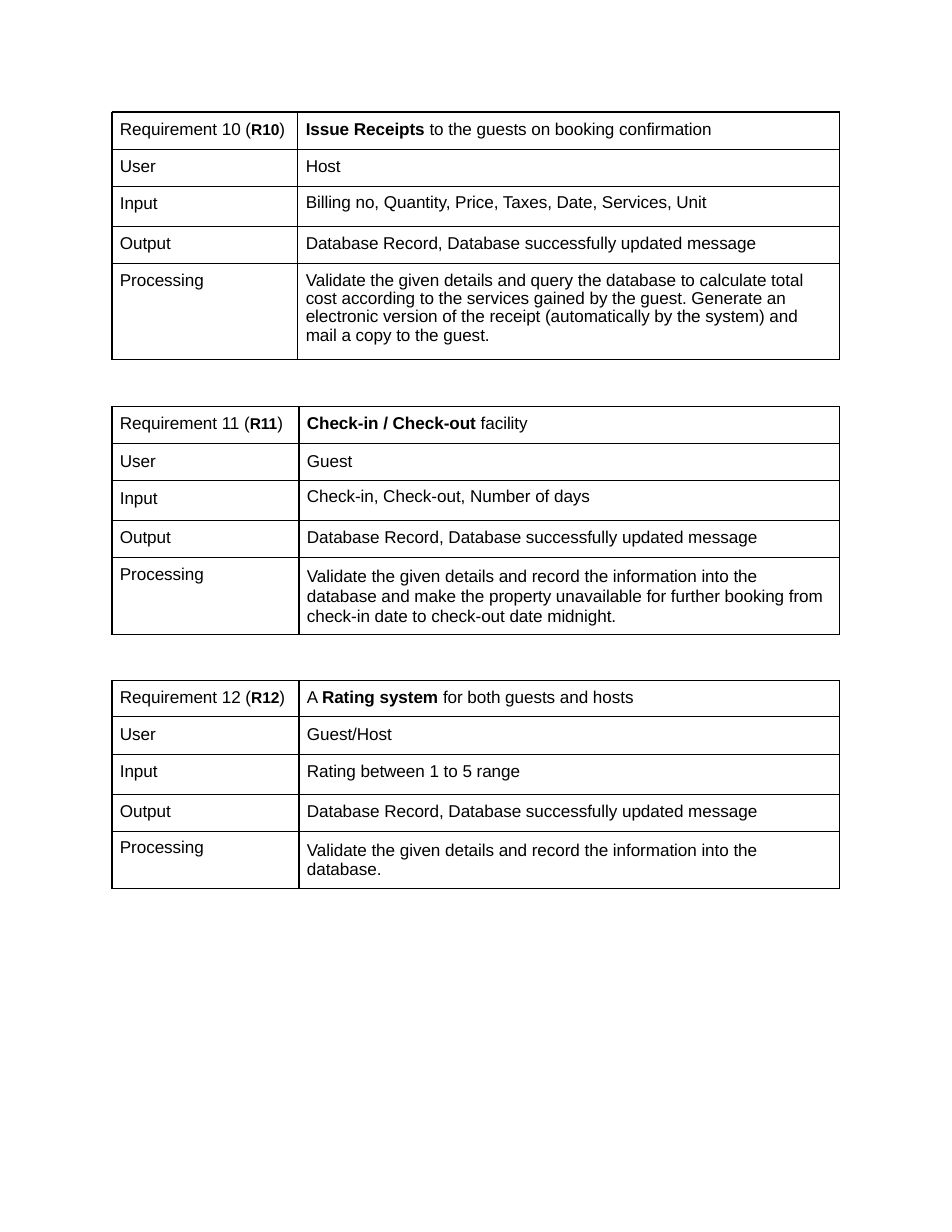
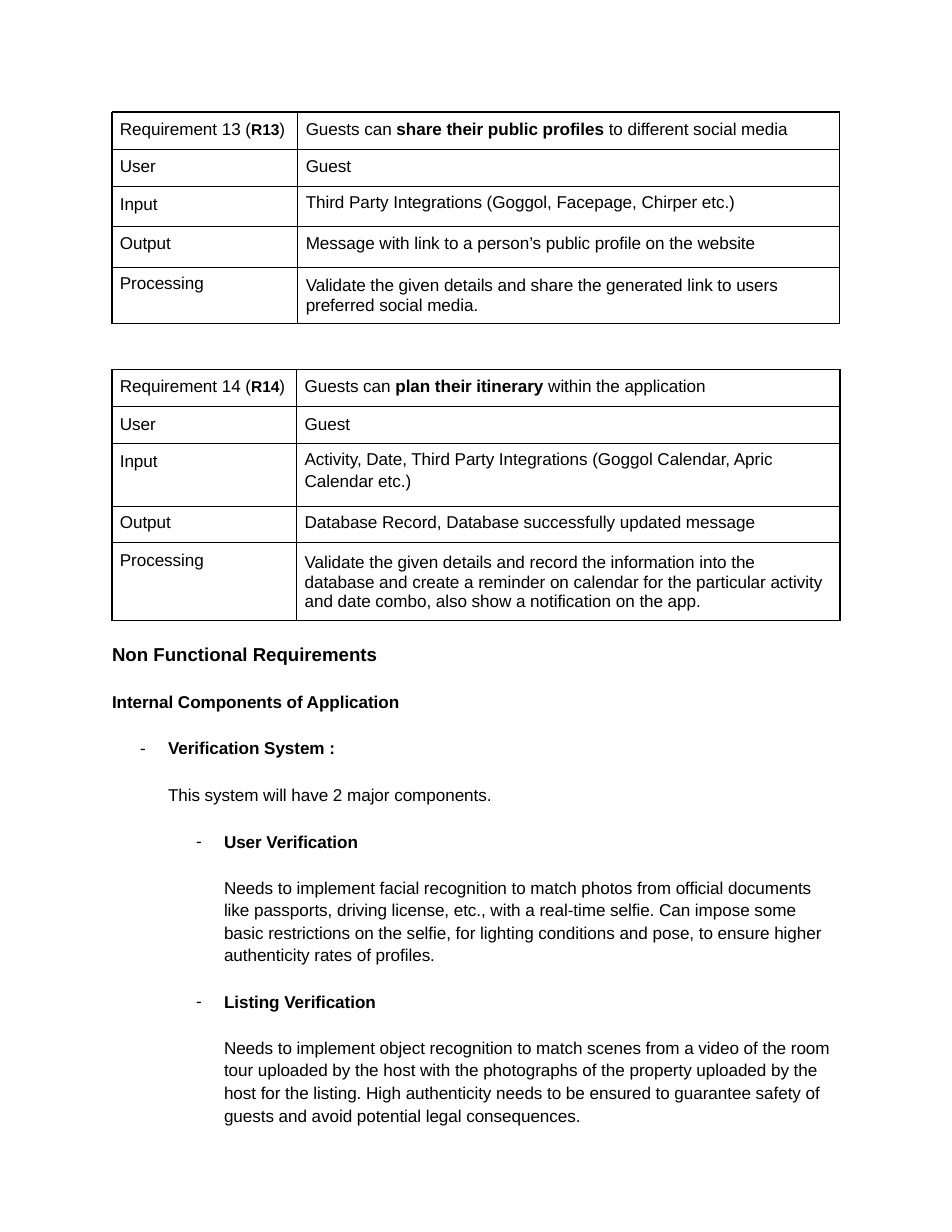
from collections import namedtuple

from lxml import etree
from pptx import Presentation
from pptx.dml.color import RGBColor
from pptx.enum.text import MSO_ANCHOR, MSO_AUTO_SIZE, PP_ALIGN
from pptx.oxml.ns import qn
from pptx.util import Inches, Pt

TOP = MSO_ANCHOR.TOP
NO_FIT = MSO_AUTO_SIZE.NONE
LEFT = PP_ALIGN.LEFT

Box = namedtuple("Box", "left top width height")
Row = namedtuple("Row", "label value height label_drop value_drop spacing",
                 defaults=(0.33, 5.1, 5.1, 1.0))

PAGE_WIDTH, PAGE_HEIGHT = 8.5, 11
MARGIN = 1
TABLE_WIDTH = 6.5
FONT = "Arial"
INK = "000000"
TEXT_SIZE = 11
CODE_SIZE = 10
TITLE_SIZE = 12
TRACKING = -5
INDENT = 0.07
WRAP_MARGIN = 0.11
BORDER = 0.75
SAVED = "Database Record, Database successfully updated message"

RECEIPTS = [
    Row("Requirement 10 (**R10**)", "**Issue Receipts **to the guests on booking confirmation"),
    Row("User", "Host"),
    Row("Input", "Billing no, Quantity, Price, Taxes, Date, Services, Unit", 0.35, value_drop=4.3),
    Row("Output", SAVED),
    Row("Processing", "Validate the given details and query the database to calculate total "
        "cost according to the services gained by the guest. Generate an electronic version of "
        "the receipt (automatically by the system) and mail a copy to the guest.",
        0.85, value_drop=5.8, spacing=0.95),
]
CHECK_IN = [
    Row("Requirement 11 (**R11**)", "**Check-in / Check-out **facility"),
    Row("User", "Guest"),
    Row("Input", "Check-in, Check-out, Number of days", 0.35, value_drop=4.3),
    Row("Output", SAVED),
    Row("Processing", "Validate the given details and record the information into the database "
        "and make the property unavailable for further booking from check-in date to check-out "
        "date midnight.", 0.69, value_drop=5.8, spacing=Pt(12.8)),
]
RATING = [
    Row("Requirement 12 (**R12**)", "A **Rating system **for both guests and hosts",
        0.32, 4.3, 4.3),
    Row("User", "Guest/Host"),
    Row("Input", "Rating between 1 to 5 range", 0.36),
    Row("Output", SAVED),
    Row("Processing", "Validate the given details and record the information into the database.",
        0.5, 4.3, spacing=Pt(12.8)),
]
SHARING = [
    Row("Requirement 13 (**R13**)",
        "Guests can **share their public profiles **to different social media"),
    Row("User", "Guest"),
    Row("Input", "Third Party Integrations (Goggol, Facepage, Chirper etc.)", 0.35,
        value_drop=4.3),
    Row("Output", "Message with link to a person\u2019s public profile on the website", 0.36),
    Row("Processing", "Validate the given details and share the generated link to users "
        "preferred social media.", 0.5, 4.3, spacing=Pt(12.8)),
]
ITINERARY = [
    Row("Requirement 14 (**R14**)", "Guests can **plan their itinerary **within the application"),
    Row("User", "Guest"),
    Row("Input", "Activity, Date, Third Party Integrations (Goggol Calendar, Apric Calendar etc.)",
        0.56, value_drop=2.5, spacing=1.14),
    Row("Output", SAVED, 0.32, 4.3, 4.3),
    Row("Processing", "Validate the given details and record the information into the database "
        "and create a reminder on calendar for the particular activity and date combo, also show "
        "a notification on the app.", 0.69, value_drop=5.8, spacing=Pt(12.8)),
]

Entry = namedtuple("Entry", "text indent bullet gap spacing", defaults=(False, 16.9, 1.0))
COMPONENTS = [
    Entry("**Internal Components of Application**", 0.01, gap=0),
    Entry("**Verification System :**", 0.51, True),
    Entry("This system will have 2 major components.", 0.51),
    Entry("**User Verification**", 1.01, True),
    Entry("Needs to implement facial recognition to match photos from official documents like "
          "passports, driving license, etc., with a real-time selfie. Can impose some basic "
          "restrictions on the selfie, for lighting conditions and pose, to ensure higher "
          "authenticity rates of profiles.", 1.01, gap=14.8, spacing=1.1),
    Entry("**Listing Verification**", 1.01, True),
    Entry("Needs to implement object recognition to match scenes from a video of the room tour "
          "uploaded by the host with the photographs of the property uploaded by the host for "
          "the listing. High authenticity needs to be ensured to guarantee safety of guests and "
          "avoid potential legal consequences.", 1.01, gap=14.8, spacing=1.1),
]


def color(value):
    """Return the colour for a hex string."""
    return RGBColor.from_string(value)


def add_runs(paragraph, text, bold_size=TEXT_SIZE, tracking=TRACKING):
    """Add runs to a paragraph, with bold between double asterisks."""
    for index, part in enumerate(text.split("**")):
        if part:
            run = paragraph.add_run()
            run.text = part
            run.font.name = FONT
            run.font.bold = index % 2 == 1
            run.font.size = Pt(bold_size if run.font.bold else TEXT_SIZE)
            run.font.color.rgb = color(INK)
            run.font._element.set("spc", str(tracking))


def set_indent(paragraph, left, hanging=0, bullet=False):
    """Set the left indent of a paragraph and its dash, if any."""
    properties = paragraph._p.get_or_add_pPr()
    properties.set("marL", str(Inches(left)))
    properties.set("indent", str(Inches(-hanging)))
    if bullet:
        etree.SubElement(properties, qn("a:buFont"), typeface=FONT)
        etree.SubElement(properties, qn("a:buChar"), char="-")
    else:
        etree.SubElement(properties, qn("a:buNone"))


def add_borders(cell):
    """Draw a thin line on the four sides of a cell."""
    properties = cell._tc.get_or_add_tcPr()
    for side in ("lnL", "lnR", "lnT", "lnB"):
        line = etree.SubElement(properties, qn("a:" + side), w=str(Pt(BORDER)))
        fill = etree.SubElement(line, qn("a:solidFill"))
        etree.SubElement(fill, qn("a:srgbClr"), val=INK)


def fill_cell(cell, text, drop, spacing=1.0, bold_size=TEXT_SIZE, right=0):
    """Format one table cell and write its text."""
    add_borders(cell)
    cell.fill.background()
    cell.margin_left = cell.margin_bottom = 0
    cell.margin_right = Inches(right)
    cell.margin_top = Pt(drop)
    cell.vertical_anchor = TOP
    paragraph = cell.text_frame.paragraphs[0]
    paragraph.space_before = Pt(drop)
    paragraph.line_spacing = spacing
    set_indent(paragraph, INDENT)
    add_runs(paragraph, text, bold_size)


def add_requirement(slide, rows, box, label_width):
    """Place a requirement table in a box, its rows scaled to the height."""
    frame = slide.shapes.add_table(len(rows), 2, *(Inches(length) for length in box))
    table = frame.table
    table.first_row = table.horz_banding = False
    table.columns[0].width = Inches(label_width)
    table.columns[1].width = Inches(box.width - label_width)
    scale = box.height / sum(row.height for row in rows)
    for index, row in enumerate(rows):
        table.rows[index].height = Inches(row.height * scale)
        fill_cell(table.cell(index, 0), row.label, row.label_drop, bold_size=CODE_SIZE)
        fill_cell(table.cell(index, 1), row.value, row.value_drop, row.spacing, right=WRAP_MARGIN)


def place_text(shape, box):
    """Move a placeholder into a box and return its text frame."""
    shape.left, shape.top, shape.width, shape.height = (Inches(length) for length in box)
    frame = shape.text_frame
    frame.margin_left = frame.margin_right = frame.margin_top = frame.margin_bottom = 0
    frame.word_wrap = True
    frame.auto_size = NO_FIT
    frame.vertical_anchor = TOP
    return frame


def add_components(slide, box, title_height):
    """Write the section title and the list of components in a box."""
    title = place_text(slide.shapes.title, box._replace(height=title_height))
    heading = title.paragraphs[0]
    heading.alignment = LEFT
    heading.space_before = Pt(0)
    set_indent(heading, 0.01)
    add_runs(heading, "**Non Functional Requirements**", TITLE_SIZE, tracking=0)
    body = place_text(slide.placeholders[1], box._replace(top=box.top + title_height,
                                                          height=box.height - title_height))
    for index, entry in enumerate(COMPONENTS):
        paragraph = body.add_paragraph() if index else body.paragraphs[0]
        paragraph.alignment = LEFT
        paragraph.line_spacing = entry.spacing
        paragraph.space_before = Pt(entry.gap)
        set_indent(paragraph, entry.indent, 0.25 if entry.bullet else 0, entry.bullet)
        add_runs(paragraph, entry.text)


def build():
    """Build the two pages of requirements."""
    presentation = Presentation()
    presentation.slide_width = Inches(PAGE_WIDTH)
    presentation.slide_height = Inches(PAGE_HEIGHT)
    layouts = presentation.slide_layouts

    slide = presentation.slides.add_slide(layouts[6])
    add_requirement(slide, RECEIPTS, Box(MARGIN, MARGIN, TABLE_WIDTH, 2.21), 1.66)
    add_requirement(slide, CHECK_IN, Box(MARGIN, 3.63, TABLE_WIDTH, 2.04), 1.67)
    add_requirement(slide, RATING, Box(MARGIN, 6.08, TABLE_WIDTH, 1.85), 1.67)

    slide = presentation.slides.add_slide(layouts[1])
    add_components(slide, Box(0.99, 5.74, 6.48, 4.26), 0.43)
    add_requirement(slide, SHARING, Box(MARGIN, MARGIN, TABLE_WIDTH, 1.89), 1.66)
    add_requirement(slide, ITINERARY, Box(MARGIN, 3.3, TABLE_WIDTH, 2.24), 1.65)

    presentation.save("out.pptx")


build()
